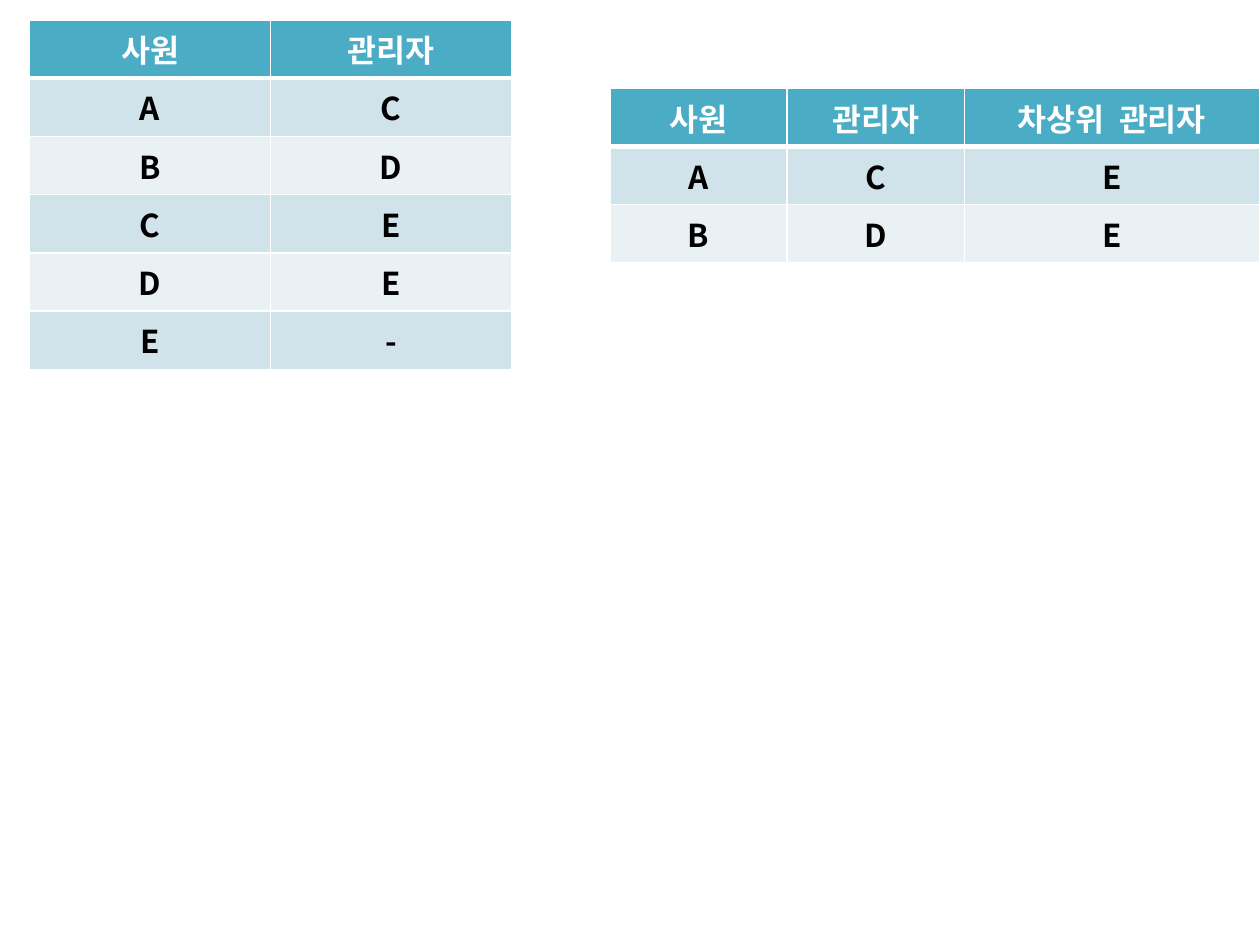
from dataclasses import dataclass

from lxml.etree import SubElement
from pptx import Presentation
from pptx.dml.color import RGBColor
from pptx.enum.text import PP_ALIGN as Align
from pptx.oxml.ns import qn
from pptx.util import Pt

COLORS = {
    "header": "4BACC6",
    "odd": "D0E3EA",
    "even": "E9F1F5",
    "border": "FFFFFF",
    "header_text": "FFFFFF",
    "body_text": "000000",
}
FONT = "Noto Sans CJK KR"
FONT_FORMAT = {"name": FONT, "size": Pt(18), "bold": True}
ROW_HEIGHT = 29.2
THIN, THICK = 1, 3


@dataclass
class StaffTable:
    left: float
    top: float
    widths: list[float]
    rows: list[list[str]]


STAFF_TABLES = [
    StaffTable(16.9, 11.35, [137.7, 137.7], [
        ["사원", "관리자"],
        ["A", "C"], ["B", "D"], ["C", "E"], ["D", "E"], ["E", "-"],
    ]),
    StaffTable(348.6, 50.4, [101.2, 101.2, 168.7], [
        ["사원", "관리자", "차상위  관리자"],
        ["A", "C", "E"], ["B", "D", "E"],
    ]),
]


def color(name: str) -> RGBColor:
    return RGBColor.from_string(COLORS[name])


def set_borders(cell, row: int) -> None:
    """Draw white borders, with a thick line below the header."""
    widths = {
        "a:lnL": THIN,
        "a:lnR": THIN,
        "a:lnT": THICK if row == 1 else THIN,
        "a:lnB": THICK if row == 0 else THIN,
    }
    properties = cell._tc.get_or_add_tcPr()
    for side, width in widths.items():
        line = SubElement(properties, qn(side), w=str(Pt(width)))
        fill = SubElement(line, qn("a:solidFill"))
        SubElement(fill, qn("a:srgbClr"), val=COLORS["border"])


def fill_cell(cell, text: str, row: int) -> None:
    set_borders(cell, row)
    band = "header" if row == 0 else "odd" if row % 2 else "even"
    cell.fill.solid()
    cell.fill.fore_color.rgb = color(band)

    paragraph = cell.text_frame.paragraphs[0]
    paragraph.alignment = Align.CENTER
    run = paragraph.add_run()
    run.text = text
    for attribute, value in FONT_FORMAT.items():
        setattr(run.font, attribute, value)
    run.font.color.rgb = color("body_text" if row else "header_text")
    # Hangul takes its typeface from the East Asian font
    SubElement(run._r.get_or_add_rPr(), qn("a:ea"), typeface=FONT)


def draw_table(slide, staff: StaffTable) -> None:
    table = slide.shapes.add_table(
        len(staff.rows), len(staff.widths), Pt(staff.left), Pt(staff.top),
        Pt(sum(staff.widths)), Pt(ROW_HEIGHT * len(staff.rows)),
    ).table
    for column, width in zip(table.columns, staff.widths):
        column.width = Pt(width)
    for r, texts in enumerate(staff.rows):
        table.rows[r].height = Pt(ROW_HEIGHT)
        for c, text in enumerate(texts):
            fill_cell(table.cell(r, c), text, r)


# Slide
deck = Presentation()
deck.slide_width, deck.slide_height = Pt(720), Pt(540)
slide = deck.slides.add_slide(deck.slide_layouts[6])

# Employee tables
for staff_table in STAFF_TABLES:
    draw_table(slide, staff_table)

deck.save("out.pptx")
